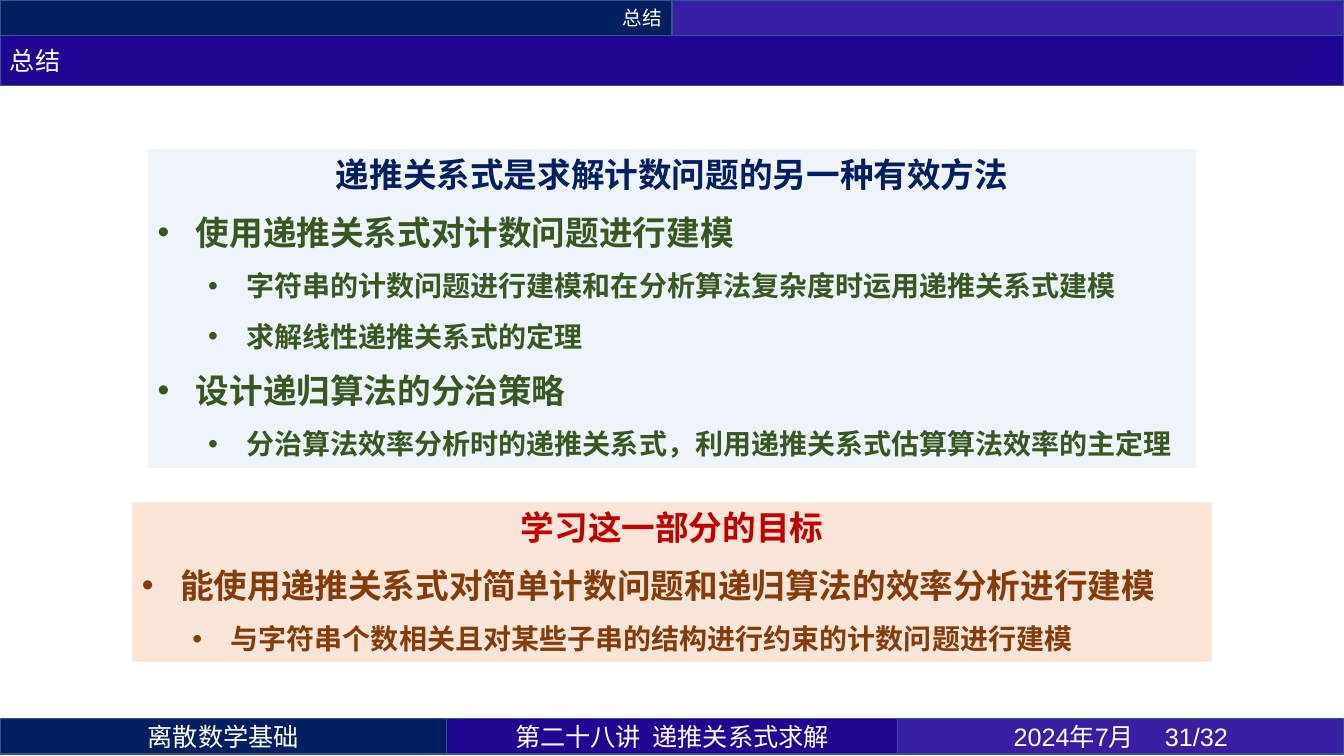
from dataclasses import dataclass
from typing import Optional

from lxml.etree import SubElement
from pptx import Presentation
from pptx.dml.color import RGBColor
from pptx.enum.shapes import MSO_SHAPE as Shape
from pptx.enum.text import MSO_ANCHOR as Anchor, PP_ALIGN as Align
from pptx.oxml.ns import qn
from pptx.util import Inches, Pt

WIDTH, HEIGHT = Inches(13.33), Inches(7.5)
CJK, LATIN = "Noto Sans CJK SC", "Arial"
WHITE = RGBColor(0xFF, 0xFF, 0xFF)
NAVY = RGBColor(0x00, 0x20, 0x60)
INDIGO = RGBColor(0x21, 0x06, 0x94)
VIOLET = RGBColor(0x37, 0x1E, 0xA2)
EDGE = RGBColor(0x32, 0x54, 0x91)
PALE_BLUE = RGBColor(0xDE, 0xEB, 0xF7)
PEACH = RGBColor(0xFB, 0xE5, 0xD6)
GREEN = RGBColor(0x38, 0x57, 0x23)
RED = RGBColor(0xC0, 0x00, 0x00)
BROWN = RGBColor(0x84, 0x3C, 0x0B)

STRIP = 4.67 / 100
TITLE = 6.67 / 100
FOOTER_TOP = 95.07 / 100
FOOTER_SIDE = 33.23 / 100
BULLET_HANG = 0.38
LEVEL_STEP = 0.5


@dataclass
class Box:
    left: float
    top: float
    width: float
    height: float


@dataclass
class Bar:
    box: Box
    fill: RGBColor
    text: str = ""
    align: Align = Align.CENTER
    size: int = 18
    font: str = CJK


@dataclass
class Bullet:
    text: str
    level: int = 0
    font: str = CJK


@dataclass
class Panel:
    top: float
    width: float
    height: float
    fill: RGBColor
    heading: str
    heading_color: RGBColor
    bullet_color: RGBColor
    bullets: list[Bullet]
    opacity: Optional[int] = None


BARS = [
    Bar(Box(0, 0, 0.5, STRIP), NAVY, "总结", Align.RIGHT, 14),
    Bar(Box(0.5, 0, 0.5, STRIP), VIOLET),
    Bar(Box(0, FOOTER_TOP, FOOTER_SIDE, STRIP), NAVY, "离散数学基础"),
    Bar(Box(FOOTER_SIDE, FOOTER_TOP, 1 - 2 * FOOTER_SIDE, STRIP), INDIGO,
        "第二十八讲  递推关系式求解"),
    Bar(Box(1 - FOOTER_SIDE, FOOTER_TOP, FOOTER_SIDE, STRIP), VIOLET,
        "2024年7月 \t31/32", font=LATIN),
    Bar(Box(0, STRIP, 1, TITLE), INDIGO, "总结", Align.LEFT),
]

PANELS = [
    Panel(19.77 / 100, 78.02 / 100, 42.13 / 100, PALE_BLUE,
          "递推关系式是求解计数问题的另一种有效方法", NAVY, GREEN, [
              Bullet("使用递推关系式对计数问题进行建模"),
              Bullet("字符串的计数问题进行建模和在分析算法复杂度时运用递推关系式建模", 1, LATIN),
              Bullet("求解线性递推关系式的定理", 1, LATIN),
              Bullet("设计递归算法的分治策略"),
              Bullet("分治算法效率分析时的递推关系式，利用递推关系式估算算法效率的主定理", 1),
          ], 50),
    Panel(66.45 / 100, 80.35 / 100, 21.07 / 100, PEACH,
          "学习这一部分的目标", RED, BROWN, [
              Bullet("能使用递推关系式对简单计数问题和递归算法的效率分析进行建模"),
              Bullet("与字符串个数相关且对某些子串的结构进行约束的计数问题进行建模", 1, LATIN),
          ]),
]


def add_rect(slide, box: Box, fill: RGBColor):
    sp = slide.shapes.add_shape(
        Shape.RECTANGLE, round(box.left * WIDTH), round(box.top * HEIGHT),
        round(box.width * WIDTH), round(box.height * HEIGHT))
    sp.shadow.inherit = False
    sp.fill.solid()
    sp.fill.fore_color.rgb = fill
    return sp


def format_run(p, size: int, color: RGBColor, font: str, bold: bool = False) -> None:
    r = p.runs[0]
    r.font.size = Pt(size)
    r.font.bold = bold
    r.font.color.rgb = color
    r.font.name = font
    SubElement(r.font._element, qn("a:ea"), typeface=CJK)


def add_bar(slide, bar: Bar) -> None:
    sp = add_rect(slide, bar.box, bar.fill)
    sp.line.color.rgb = EDGE
    sp.line.width = Pt(1)
    if bar.text:
        tf = sp.text_frame
        tf.vertical_anchor = Anchor.MIDDLE
        p = tf.paragraphs[0]
        p.text = bar.text
        p.alignment = bar.align
        format_run(p, bar.size, WHITE, bar.font)


def add_bullet(tf, bullet: Bullet, color: RGBColor) -> None:
    p = tf.add_paragraph()
    p.text = bullet.text
    p.level = bullet.level
    p.alignment = Align.LEFT
    p.space_before = p.space_after = Pt(6)
    pPr = p._p.get_or_add_pPr()
    pPr.set("marL", str(Inches(BULLET_HANG + LEVEL_STEP * bullet.level)))
    pPr.set("indent", str(-Inches(BULLET_HANG)))
    SubElement(pPr, qn("a:buFont"), typeface=LATIN)
    SubElement(pPr, qn("a:buChar"), char="•")
    format_run(p, 20 if bullet.level else 24, color, bullet.font, True)


def add_panel(slide, panel: Panel) -> None:
    box = Box((1 - panel.width) / 2, panel.top, panel.width, panel.height)
    sp = add_rect(slide, box, panel.fill)
    sp.line.fill.background()
    if panel.opacity is not None:
        color = sp._element.spPr.find(qn("a:solidFill"))[0]
        SubElement(color, qn("a:alpha"), val=str(panel.opacity * 1000))
    tf = sp.text_frame
    tf.word_wrap = True
    tf.vertical_anchor = Anchor.TOP
    p = tf.paragraphs[0]
    p.text = panel.heading
    p.alignment = Align.CENTER
    p.space_after = Pt(6)
    format_run(p, 24, panel.heading_color, CJK, True)
    for bullet in panel.bullets:
        add_bullet(tf, bullet, panel.bullet_color)


def main() -> None:
    prs = Presentation()
    prs.slide_width, prs.slide_height = WIDTH, HEIGHT
    slide = prs.slides.add_slide(prs.slide_layouts[6])
    for bar in BARS:
        add_bar(slide, bar)
    for panel in PANELS:
        add_panel(slide, panel)
    prs.save("out.pptx")


if __name__ == "__main__":
    main()
